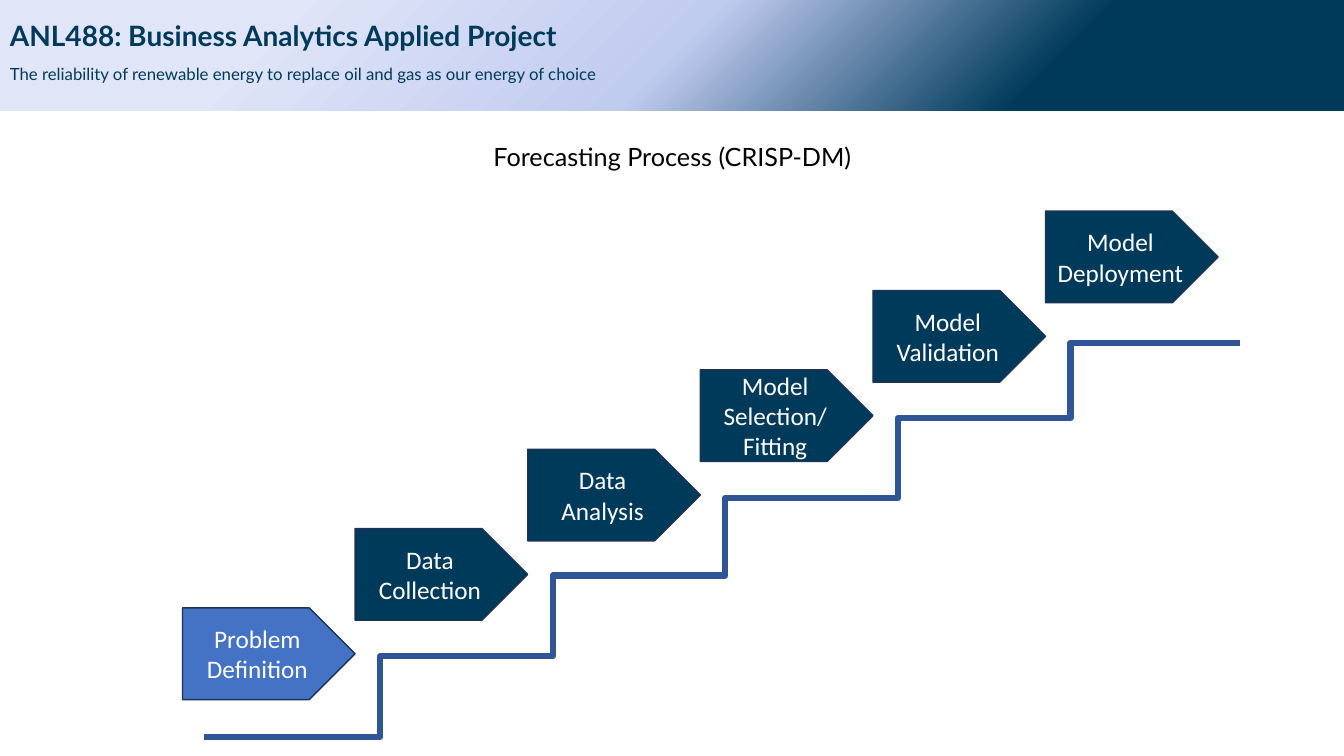
"""Build the CRISP-DM forecasting staircase slide."""
from lxml import etree
from pptx import Presentation
from pptx import util as u
from pptx.dml.color import RGBColor
from pptx.enum import shapes, text
from pptx.oxml import parse_xml
from pptx.oxml.ns import nsdecls, qn

COLOURS = {"navy": "003A5B", "lilac": "C0CBF0", "mist": "E0E5F7", "blue": "4472C4",
           "outline": "1E3256", "stair": "2F5597", "black": "000000", "white": "FFFFFF"}


def colour(name):
    return RGBColor.from_string(COLOURS[name])


def write(shape, wording, size, font, ink, align, bold=False, spacing=1.0):
    frame = shape.text_frame
    frame.word_wrap = True
    frame.text = wording
    para = frame.paragraphs[0]
    para.alignment = align
    para.line_spacing = spacing
    span = para.runs[0]
    span.font.size = u.Pt(size)
    span.font.name = font
    span.font.bold = bold
    span.font.color.rgb = colour(ink)


deck = Presentation()
deck.slide_width, deck.slide_height = u.Cm(33.87), u.Cm(19.05)
page = deck.slides.add_slide(deck.slide_layouts[6])
LEFT, CENTER = text.PP_ALIGN.LEFT, text.PP_ALIGN.CENTER

banner = page.shapes.add_shape(shapes.MSO_SHAPE.RECTANGLE, 0, 0, deck.slide_width, u.Cm(2.79))
banner.shadow.inherit = False
banner.line.fill.background()
banner.fill.background()
stops = "".join(f'<a:gs pos="{place * 1000}"><a:srgbClr val="{COLOURS[name]}"/></a:gs>'
                for place, name in [(23, "navy"), (50, "lilac"), (80, "mist")])
gradient = parse_xml(f'<a:gradFill {nsdecls("a")} rotWithShape="1"><a:gsLst>{stops}</a:gsLst>'
                     '<a:path path="circle"><a:fillToRect l="100000" t="100000"/></a:path>'
                     '</a:gradFill>')
properties = banner._element.spPr
properties.replace(properties.find(qn("a:noFill")), gradient)
write(banner, "ANL488: Business Analytics Applied Project", 20, "Lato", "navy", LEFT, True, 0.9)
banner.text_frame.vertical_anchor = text.MSO_ANCHOR.MIDDLE
banner.text_frame.margin_bottom = u.Cm(1.04)

subtitle = page.shapes.add_textbox(0, u.Cm(1.55), u.Cm(18.75), u.Cm(0.79))
write(subtitle, "The reliability of renewable energy to replace oil and gas as our energy of choice",
      12, "Lato", "navy", LEFT, spacing=0.9)

heading = page.shapes.add_textbox(u.Cm(2.34), u.Cm(3.43), u.Cm(29.21), u.Cm(1.02))
write(heading, "Forecasting Process (CRISP-DM)", 18, "Lato", "black", CENTER)

STEP_WIDTH, STEP_RISE = 4.35, 2.0
stages = ["Problem Definition", "Data Collection", "Data Analysis",
          "Model Selection/ Fitting", "Model Validation", "Model Deployment"]
for index, stage in enumerate(stages):
    arrow = page.shapes.add_shape(
        shapes.MSO_SHAPE.PENTAGON, u.Cm(4.6 + index * STEP_WIDTH),
        u.Cm(15.32 - index * STEP_RISE), u.Cm(STEP_WIDTH), u.Cm(2.31))
    arrow.shadow.inherit = False
    arrow.fill.solid()
    arrow.fill.fore_color.rgb = colour("navy" if index else "blue")
    arrow.line.color.rgb = colour("outline")
    arrow.line.width = u.Pt(1)
    write(arrow, stage, 18, "Calibri", "white", CENTER)
    arrow.text_frame.vertical_anchor = text.MSO_ANCHOR.MIDDLE

levels = [18.57, 16.54, 14.5, 12.55, 10.54, 8.64]
treads = [(5.13, 12.73), (11.86, 16.21), (14.55, 21.34), (20.04, 25.68), (24.56, 31.24)]
for index, (start, end) in enumerate(treads):
    stair = page.shapes.add_connector(shapes.MSO_CONNECTOR.ELBOW, u.Cm(start),
                                      u.Cm(levels[index]), u.Cm(end), u.Cm(levels[index + 1]))
    stair.line.color.rgb = colour("stair")
    stair.line.width = u.Pt(4.5)
    properties = stair._element.spPr
    etree.SubElement(properties, qn("a:effectLst"))
    riser = 9.58 + index * STEP_WIDTH
    bend = round((riser - start) / (end - start) * 100000)
    guides = properties.find(qn("a:prstGeom")).get_or_add_avLst()
    etree.SubElement(guides, qn("a:gd"), name="adj1", fmla=f"val {bend}")

deck.save("out.pptx")
